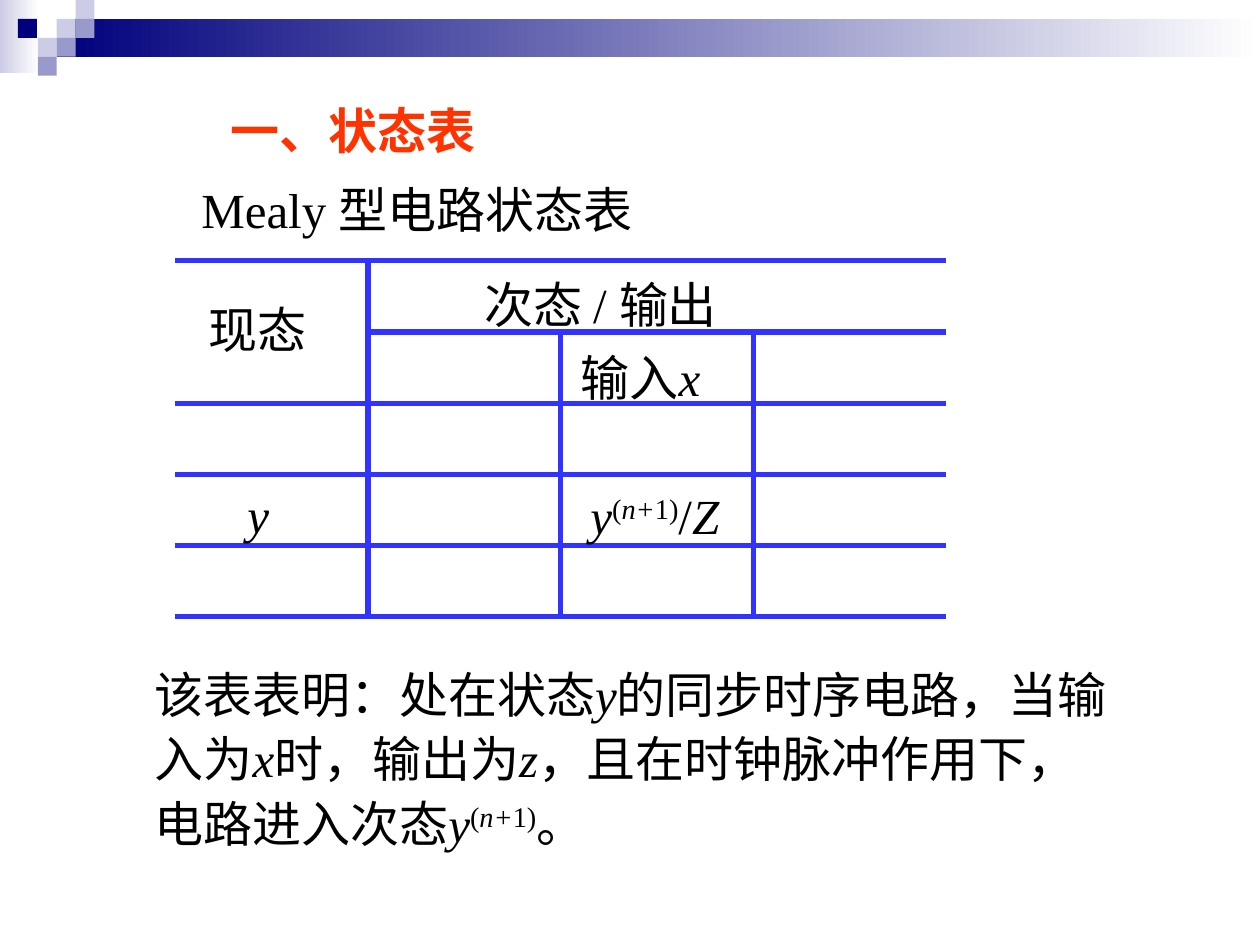
from dataclasses import dataclass

from lxml.etree import SubElement
from pptx import Presentation
from pptx.dml.color import RGBColor
from pptx.enum.shapes import MSO_CONNECTOR as Connector, MSO_SHAPE as Shape
from pptx.enum.text import MSO_AUTO_SIZE as AutoSize
from pptx.oxml.ns import qn
from pptx.util import Inches, Pt

WHITE = RGBColor(0xFF, 0xFF, 0xFF)
BLACK = RGBColor(0x00, 0x00, 0x00)
NAVY = RGBColor(0x00, 0x00, 0x7D)
LILAC = RGBColor(0xCC, 0xCC, 0xE6)
VIOLET = RGBColor(0x99, 0x99, 0xCC)
BLUE = RGBColor(0x33, 0x33, 0xFF)
ORANGE = RGBColor(0xFF, 0x33, 0x00)

ITALIC = {"italic": True}
SUPER = {"raised": True}
NEXT_STATE = [("y", ITALIC), ("(", SUPER), ("n+", ITALIC | SUPER), ("1)", SUPER)]


@dataclass
class Grid:
    """Turns columns and rows, whole or fractional, into slide lengths."""
    left: float
    top: float
    column: float
    row: float

    def point(self, column, row):
        return (Inches(self.left + column * self.column),
                Inches(self.top + row * self.row))

    def size(self, columns, rows):
        return Inches(columns * self.column), Inches(rows * self.row)


PAGE = Grid(0, 0, 10, 7.5)
MOSAIC = Grid(0, 0, 0.15, 0.15)
STATES = Grid(1.39, 2.07, 1.53, 0.565)


def add_run(paragraph, text, font="Times New Roman", size=28, color=BLACK,
            bold=False, italic=False, raised=False):
    run = paragraph.add_run()
    run.text = text
    run.font.name = font
    run.font.size = Pt(size)
    run.font.color.rgb = color
    run.font.bold = bold
    run.font.italic = italic
    if raised:
        run.font._element.set("baseline", "30000")


class Painter:
    def __init__(self, slide, rule_color=BLUE, rule_width=3):
        self.slide = slide
        self.rule_color = rule_color
        self.rule_width = rule_width

    def block(self, grid, start, size, *colors):
        """Draws a rectangle; two colours make a left-to-right gradient."""
        shape = self.slide.shapes.add_shape(
            Shape.RECTANGLE, *grid.point(*start), *grid.size(*size))
        shape.shadow.inherit = False
        shape.line.fill.background()
        if len(colors) == 1:
            shape.fill.solid()
            shape.fill.fore_color.rgb = colors[0]
            return
        shape.fill.gradient()
        shape.fill.gradient_angle = 0
        for stop, color in zip(shape.fill.gradient_stops, colors):
            stop.color.rgb = color

    def rule(self, grid, start, end):
        line = self.slide.shapes.add_connector(
            Connector.STRAIGHT, *grid.point(*start), *grid.point(*end))
        line.line.color.rgb = self.rule_color
        line.line.width = Pt(self.rule_width)
        SubElement(line._element.spPr, qn("a:effectLst"))

    def text(self, grid, start, size, runs, wrap=False, spacing=None, **style):
        """Places one paragraph; runs is a string or (text, format) pairs."""
        box = self.slide.shapes.add_textbox(
            *grid.point(*start), *grid.size(*size))
        frame = box.text_frame
        frame.word_wrap = wrap
        frame.auto_size = AutoSize.SHAPE_TO_FIT_TEXT
        paragraph = frame.paragraphs[0]
        paragraph.line_spacing = spacing
        for text, extra in [(runs, {})] if isinstance(runs, str) else runs:
            add_run(paragraph, text, **(style | extra))


def draw_banner(painter):
    painter.block(MOSAIC, (0, 0), (2.05, 3.87), LILAC, WHITE)
    painter.block(MOSAIC, (3, 1), (63.67, 2), NAVY, WHITE)
    tiles = [(3, 1, LILAC), (4, 0, LILAC), (4, 1, VIOLET), (2, 2, LILAC),
             (0.95, 1, NAVY), (3, 2, VIOLET), (2, 3, VIOLET)]
    for column, row, color in tiles:
        painter.block(MOSAIC, (column, row), (1, 1), color)


def draw_state_table(painter):
    for row in range(6):
        first_column = 1 if row == 1 else 0
        painter.rule(STATES, (first_column, row), (4, row))
    for column in (1, 2, 3):
        first_row = 0 if column == 1 else 1
        painter.rule(STATES, (column, first_row), (column, 5))

    labels = [
        (0.11, 0.46, 0.68, "现态"),
        (1.54, 0.11, 1.52, "次态 / 输出"),
        (2.04, 1.13, 0.85, [("输入", {}), ("x", ITALIC)]),
        (0.31, 3.06, 0.27, [("y", ITALIC)]),
        (2.09, 3.07, 0.84, NEXT_STATE + [("/", {}), ("Z", ITALIC)]),
    ]
    for column, row, width, runs in labels:
        painter.text(STATES, (column, row), (width, 1), runs)


def main():
    deck = Presentation()
    deck.slide_width, deck.slide_height = PAGE.size(1, 1)
    painter = Painter(deck.slides.add_slide(deck.slide_layouts[6]))

    draw_banner(painter)
    painter.text(PAGE, (0.173, 0.1), (0.22, 0.076), "一、状态表",
                 color=ORANGE, bold=True)
    painter.text(PAGE, (0.15, 0.183), (0.38, 0.076), "Mealy 型电路状态表")
    draw_state_table(painter)

    explanation = [
        ("该表表明：处在状态", {}), ("y", ITALIC),
        ("的同步时序电路，当输入为", {}), ("x", ITALIC),
        ("时，输出为", {}), ("z", ITALIC),
        ("，且在时钟脉冲作用下，电路进入次态", {}), *NEXT_STATE, ("。", {}),
    ]
    painter.text(PAGE, (0.113, 0.69), (0.782, 0.219), explanation,
                 wrap=True, spacing=1.1)
    deck.save("out.pptx")


if __name__ == "__main__":
    main()
